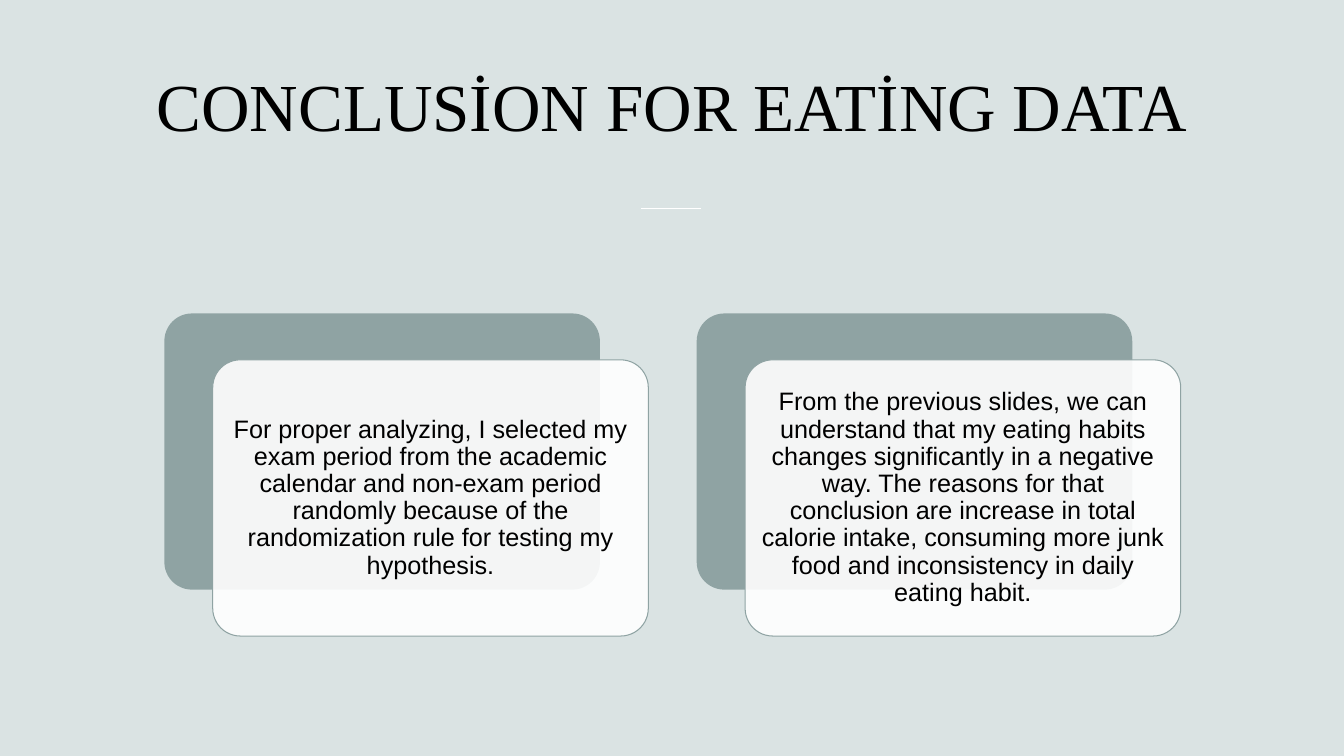
from lxml import etree
from pptx import Presentation
from pptx.dml.color import RGBColor
from pptx.enum.shapes import MSO_CONNECTOR, MSO_SHAPE
from pptx.enum.text import MSO_ANCHOR, PP_ALIGN
from pptx.oxml.ns import qn
from pptx.util import Inches, Pt

BACKGROUND = RGBColor(0xDA, 0xE3, 0xE3)
SAGE = RGBColor(0x8F, 0xA3, 0xA3)
WHITE = RGBColor(0xFF, 0xFF, 0xFF)
BLACK = RGBColor(0x00, 0x00, 0x00)

CARD_LEFT, CARD_TOP = 1.63, 3.11
CARD_W, CARD_H = 4.32, 2.74
COLUMN_STEP = 5.28
SHIFT_X, SHIFT_Y = 0.48, 0.46

CONCLUSIONS = [
    "For proper analyzing, I selected my exam period from the academic calendar "
    "and non-exam period randomly because of the randomization rule for testing "
    "my hypothesis.",
    "From the previous slides, we can understand that my eating habits changes "
    "significantly in a negative way. The reasons for that conclusion are increase "
    "in total calorie intake, consuming more junk food and inconsistency in daily "
    "eating habit.",
]


def write_text(sp, text, size, font, spacing=1.0, inset=0.1):
    tf = sp.text_frame
    tf.word_wrap = True
    tf.vertical_anchor = MSO_ANCHOR.MIDDLE
    tf.margin_left = tf.margin_right = Inches(inset)
    tf.margin_top = tf.margin_bottom = Inches(min(inset, 0.07))
    p = tf.paragraphs[0]
    p.alignment = PP_ALIGN.CENTER
    p.line_spacing = spacing
    r = p.add_run()
    r.text = text
    r.font.size = Pt(size)
    r.font.name = font
    r.font.color.rgb = BLACK


def add_card(left, top, color):
    sp = s.shapes.add_shape(MSO_SHAPE.ROUNDED_RECTANGLE, Inches(left), Inches(top),
                            Inches(CARD_W), Inches(CARD_H))
    sp.adjustments[0] = 0.1
    sp.shadow.inherit = False
    sp.fill.solid()
    sp.fill.fore_color.rgb = color
    sp.line.fill.background()
    return sp


prs = Presentation()
prs.slide_width, prs.slide_height = Inches(13.33), Inches(7.5)
s = prs.slides.add_slide(prs.slide_layouts[5])
s.background.fill.solid()
s.background.fill.fore_color.rgb = BACKGROUND

title = s.shapes.title
title.left, title.top = Inches(1.08), Inches(0.28)
title.width, title.height = Inches(11.17), Inches(1.52)
write_text(title, "CONCLUSİON FOR EATİNG DATA", size=48, font="Times New Roman")

divider = s.shapes.add_connector(MSO_CONNECTOR.STRAIGHT, Inches(6.36), Inches(2.07),
                                 Inches(6.95), Inches(2.07))
divider.line.color.rgb = WHITE
divider.line.width = Pt(1)
etree.SubElement(divider._element.spPr, qn("a:effectLst"))

for column, conclusion in enumerate(CONCLUSIONS):
    left = CARD_LEFT + column * COLUMN_STEP
    add_card(left, CARD_TOP, SAGE)
    front = add_card(left + SHIFT_X, CARD_TOP + SHIFT_Y, WHITE)
    front.line.color.rgb = SAGE
    front.line.width = Pt(0.75)
    fill_color = front._element.spPr.find(qn("a:solidFill")).find(qn("a:srgbClr"))
    etree.SubElement(fill_color, qn("a:alpha"), val="90000")
    write_text(front, conclusion, size=18, font="Arial", spacing=0.9, inset=0.07)

prs.save("out.pptx")
